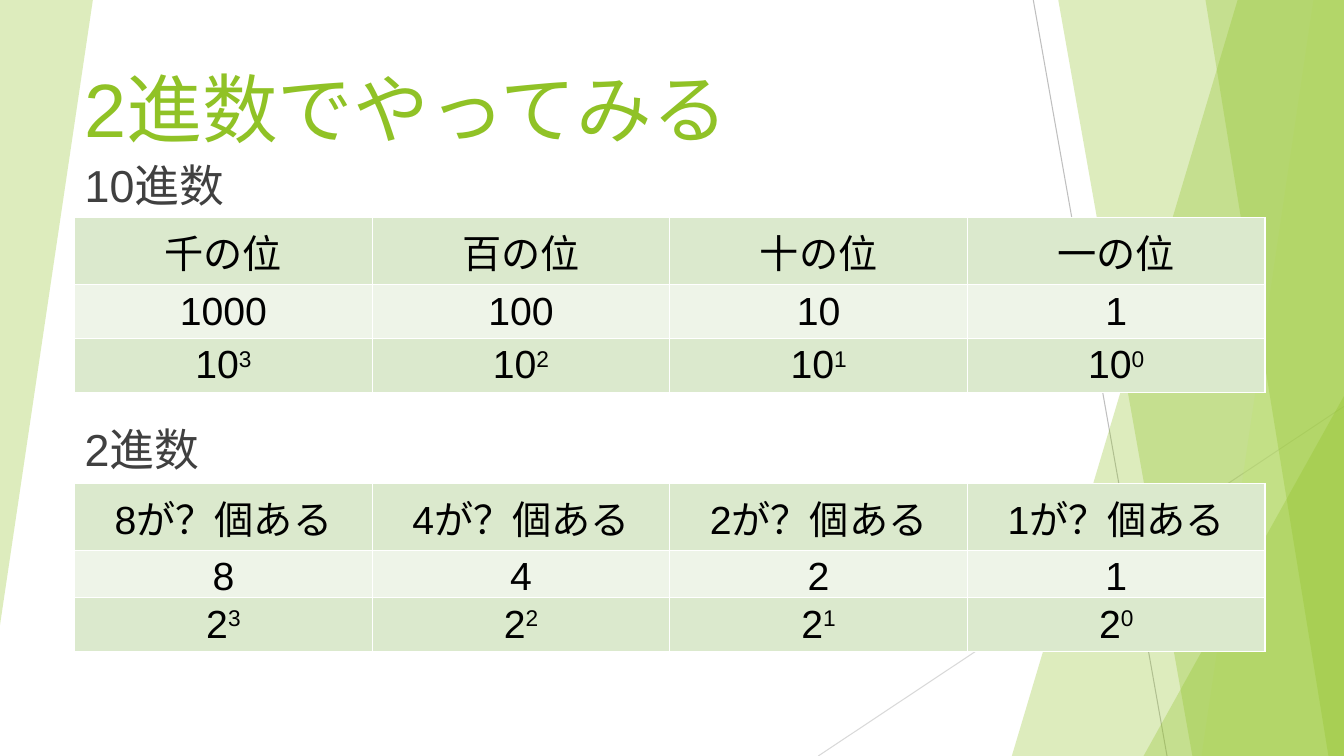
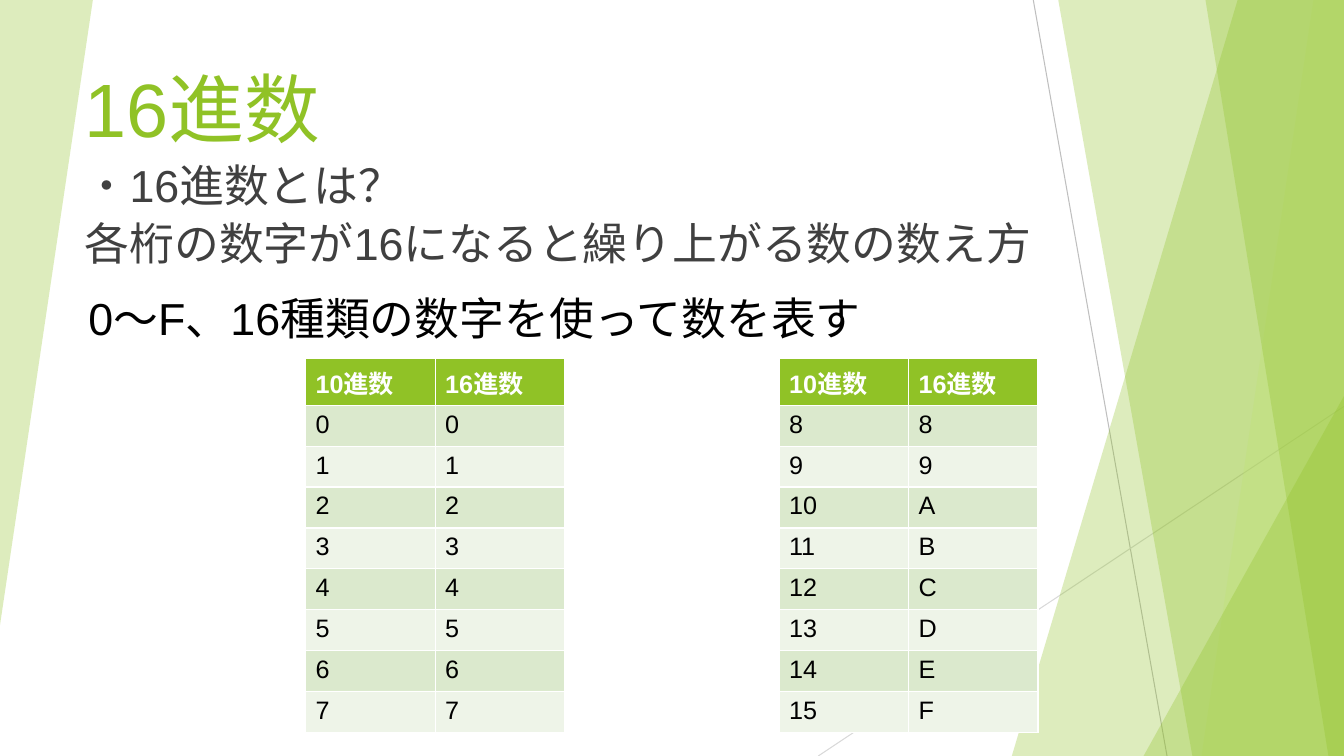
import pptx
import pptx.util
import pptx.dml.color
import pptx.enum.shapes
import pptx.enum.text
import pptx.oxml
import pptx.oxml.ns

Cm, Pt = pptx.util.Cm, pptx.util.Pt
RGB = pptx.dml.color.RGBColor
KIND = pptx.enum.shapes.MSO_SHAPE
LINK = pptx.enum.shapes.MSO_CONNECTOR
TEXT = pptx.enum.text
qn = pptx.oxml.ns.qn

# Content: "^" marks the start of a superscript
BINARY = "2進数でやってみる"
# paragraphs: text, space before in points
BASES = [("10進数", 7), ("2進数", 154)]
TENS = [
    ["千の位", "百の位", "十の位", "一の位"],
    ["1000", "100", "10", "1"],
    ["10^3", "10^2", "10^1", "10^0"],
]
TWOS = [
    ["8が?個ある".replace("?", "？"), "4が？個ある", "2が？個ある", "1が？個ある"],
    ["8", "4", "2", "1"],
]
TWOS[0][0] = "8が？個ある"
POWERS = [["2^3", "2^2", "2^1", "2^0"]]

HEX = "16進数"
ABOUT = [("・16進数とは？", 7), ("各桁の数字が16になると繰り上がる数の数え方", 7)]
RANGE = "0～F、16種類の数字を使って数を表す"
HEAD = ["10進数", "16進数"]
DIGITS = "0123456789ABCDEF"

# Look
FONT = "Arial"
GREEN = RGB(0x90, 0xC2, 0x26)
LIME = RGB(0xC0, 0xE4, 0x74)
GREY = RGB(0x40, 0x40, 0x40)
BLACK = RGB(0, 0, 0)
WHITE = RGB(0xFF, 0xFF, 0xFF)
BANDS = [RGB(0xDB, 0xE9, 0xCD), RGB(0xEE, 0xF4, 0xE8)]
WIDE, HIGH = 33.87, 19.05
LEFT, SPAN = 1.88, 30

# Backdrop, in cm
LINES = [  # start, end, colour
    ((26.04, 0), (29.41, HIGH), RGB(0xBF, 0xBF, 0xBF)),
    ((WIDE, 10.24), (20.62, HIGH), RGB(0xD9, 0xD9, 0xD9)),
]
PANES = [  # left edge at top, left edge at bottom, colour
    (31.19, 25.5, GREEN),
    (26.67, 30.05, GREEN),
    (33.1, 30.28, LIME),
    (30.38, 33.48, GREEN),
]
WEDGES = [  # left, top, width, height, rotation
    (28.82, 9.98, 5.05, 9.07, 0),
    (0, 0, 2.34, 15.75, 180),
]


def tint(shape, color):
    """Fill a shape at 30 % opacity, without outline or shadow."""
    shape.shadow.inherit = False
    shape.line.fill.background()
    shape.fill.solid()
    shape.fill.fore_color.rgb = color
    tone = shape.element.spPr.find(qn("a:solidFill"))[0]
    tone.append(pptx.oxml.parse_xml(
        '<a:alpha xmlns:a="http://schemas.openxmlformats.org/'
        'drawingml/2006/main" val="30000"/>'))
    return shape


def backdrop(shapes):
    """Draw the backdrop and return its parts from back to front."""
    parts = []
    for start, end, color in LINES:
        line = shapes.add_connector(
            LINK.STRAIGHT, *[Cm(n) for n in start + end])
        line.line.color.rgb = color
        line.line.width = Pt(0.75)
        line.element.spPr.append(pptx.oxml.parse_xml(
            '<a:effectLst xmlns:a="http://schemas.openxmlformats.org/'
            'drawingml/2006/main"/>'))
        parts.append(line)
    for top, low, color in PANES:
        pen = shapes.build_freeform(Cm(top), 0)
        pen.add_line_segments([(Cm(WIDE), 0), (Cm(WIDE), Cm(HIGH)),
                               (Cm(low), Cm(HIGH))])
        parts.append(tint(pen.convert_to_shape(), color))
    for *box, turn in WEDGES:
        wedge = shapes.add_shape(
            KIND.ISOSCELES_TRIANGLE, *[Cm(n) for n in box])
        wedge.adjustments[0] = 1
        wedge.rotation = turn
        parts.append(tint(wedge, GREEN))
    return parts


def write(para, text, size, color, bold=False):
    """Add text run by run; the part after "^" is raised."""
    for i, piece in enumerate(text.split("^")):
        run = para.add_run()
        run.text = piece
        run.font.name = FONT
        run.font.size = Pt(size)
        run.font.bold = bold
        run.font.color.rgb = color
        if i:
            run._r.get_or_add_rPr().set("baseline", "30000")


def page(title, paras):
    """Add a slide with its title and body text."""
    slide = deck.slides.add_slide(layout)
    head, body = slide.placeholders
    for holder in (head, body):
        frame = holder.text_frame
        frame.auto_size = TEXT.MSO_AUTO_SIZE.NONE
        frame.vertical_anchor = TEXT.MSO_ANCHOR.TOP
    para = head.text_frame.paragraphs[0]
    para.alignment = TEXT.PP_ALIGN.LEFT
    para.line_spacing = 0.9
    write(para, title, 54, GREEN)
    for i, (text, gap) in enumerate(paras):
        frame = body.text_frame
        para = frame.add_paragraph() if i else frame.paragraphs[0]
        para.line_spacing = 0.9
        para.space_before = Pt(gap)
        props = para._p.get_or_add_pPr()
        props.set("marL", "0")
        props.set("indent", "0")
        props.append(props.makeelement(qn("a:buNone"), {}))
        write(para, text, 32, GREY)
    return slide


def grid(slide, rows, box, step, size, head=False):
    """Add a banded table; box and row height (step) are in cm."""
    frame = slide.shapes.add_table(
        len(rows), len(rows[0]), *[Cm(n) for n in box])
    table = frame.table
    table.first_row = head
    for r, row in enumerate(rows):
        table.rows[r].height = Cm(step)
        top = head and r == 0
        for c, text in enumerate(row):
            cell = table.cell(r, c)
            cell.fill.solid()
            cell.fill.fore_color.rgb = GREEN if top else BANDS[(r - head) % 2]
            para = cell.text_frame.paragraphs[0]
            if not head:
                para.alignment = TEXT.PP_ALIGN.CENTER
            write(para, text, size, WHITE if top else BLACK, top)
    frame.height = Cm(box[3])


# Deck and shared layout
deck = pptx.Presentation()
deck.slide_width, deck.slide_height = Cm(WIDE), Cm(HIGH)
layout = deck.slide_layouts[1]
for holder, top, tall in zip(layout.placeholders, (1.7, 3.99), (1.83, 14.33)):
    holder.left, holder.top = Cm(LEFT), Cm(top)
    holder.width, holder.height = Cm(SPAN), Cm(tall)

# Slide 1: place values in base ten and base two
slide = page(BINARY, BASES)
tree = deck.slide_master.element.cSld.spTree
for i, part in enumerate(backdrop(slide.shapes)):
    tree.insert(2 + i, part.element)  # the master shows it on every slide
for rows, top, tall in [(TWOS, 12.19, 2.87), (TENS, 5.49, 4.32),
                        (POWERS, 15.06, 1.45)]:
    grid(slide, rows, (LEFT, top, SPAN, tall), 1.04, 28)

# Slide 2: hexadecimal digits in two halves
slide = page(HEX, ABOUT)
pairs = [[str(n), digit] for n, digit in enumerate(DIGITS)]
for left, half in [(7.7, pairs[:8]), (19.63, pairs[8:])]:
    grid(slide, [HEAD] + half, (left, 9.04, 6.53, 9.27), 1.03, 18, True)
note = slide.shapes.add_textbox(Cm(1.98), Cm(7.19), Cm(23.27), Cm(1.63))
note.text_frame.word_wrap = True
note.text_frame.auto_size = TEXT.MSO_AUTO_SIZE.SHAPE_TO_FIT_TEXT
write(note.text_frame.paragraphs[0], RANGE, 32, BLACK)

deck.save("out.pptx")
